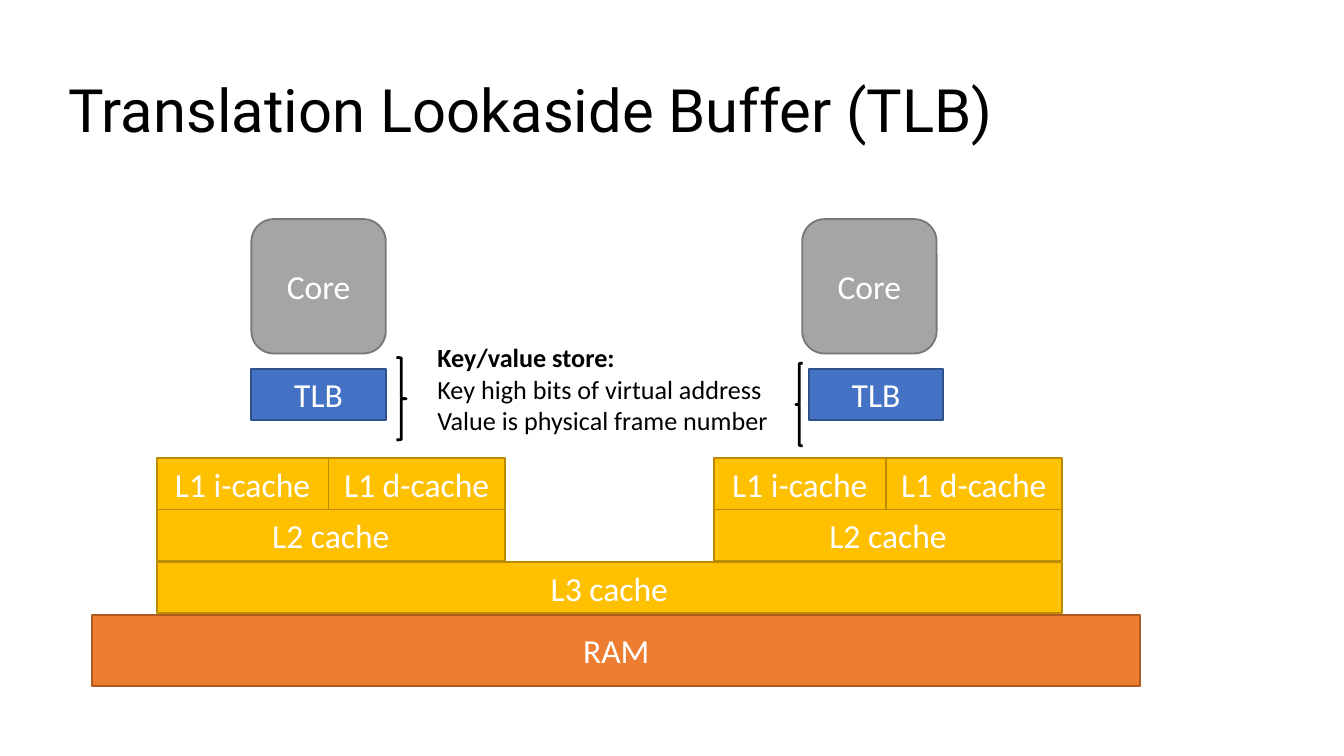
"""Build a slide on the translation lookaside buffer in a two-core memory hierarchy."""
from dataclasses import dataclass

from pptx import Presentation
from pptx.dml.color import RGBColor
from pptx.enum.shapes import MSO_SHAPE
from pptx.enum.text import MSO_ANCHOR, PP_ALIGN
from pptx.util import Pt

RECTANGLE = MSO_SHAPE.RECTANGLE
ROUNDED = MSO_SHAPE.ROUNDED_RECTANGLE
LEFT_BRACE = MSO_SHAPE.LEFT_BRACE
RIGHT_BRACE = MSO_SHAPE.RIGHT_BRACE
TOP = MSO_ANCHOR.TOP
MIDDLE = MSO_ANCHOR.MIDDLE
CENTER = PP_ALIGN.CENTER


@dataclass(frozen=True)
class Theme:
    """Fonts, type sizes and (fill, line) colour pairs."""
    title_font: str = "Roboto"
    body_font: str = "Calibri"
    title_size: int = 32
    block_size: int = 18
    note_size: int = 14
    ink: str = "000000"
    block_text: str = "FFFFFF"
    core: tuple = ("A5A5A5", "787878")
    tlb: tuple = ("4472C4", "2F528F")
    cache: tuple = ("FFC000", "BC8C00")
    ram: tuple = ("ED7D31", "AE5A21")


THEME = Theme()
CACHE_LEFT = 84
CACHE_TOP = 245.4
ROW_HEIGHT = 27.6
INSTRUCTION_WIDTH = 92
DATA_WIDTH = 94.5
CORE_WIDTH = 72
GROUP_STEP = 298.5


def add_run(paragraph, text, size, color, font=THEME.body_font, bold=False):
    """Append one formatted run to a paragraph."""
    run = paragraph.add_run()
    run.text = text
    run.font.name = font
    run.font.size = Pt(size)
    run.font.bold = bold
    run.font.color.rgb = RGBColor.from_string(color)


def add_text_frame(slide, left, top, width, height, anchor):
    """Add a wrapping text box and return its text frame."""
    box = slide.shapes.add_textbox(Pt(left), Pt(top), Pt(width), Pt(height))
    frame = box.text_frame
    frame.word_wrap = True
    frame.vertical_anchor = anchor
    return frame


def add_title(slide, text):
    """Add the slide title."""
    frame = add_text_frame(slide, 29.5, 21.6, 661.5, 78.3, MIDDLE)
    paragraph = frame.paragraphs[0]
    paragraph.line_spacing = 0.9
    add_run(paragraph, text, THEME.title_size, THEME.ink, THEME.title_font)


def add_block(slide, text, left, top, width, height, colors, kind=RECTANGLE):
    """Add a labelled hardware block."""
    shape = slide.shapes.add_shape(kind, Pt(left), Pt(top), Pt(width), Pt(height))
    fill, line = colors
    shape.shadow.inherit = False
    shape.fill.solid()
    shape.fill.fore_color.rgb = RGBColor.from_string(fill)
    shape.line.color.rgb = RGBColor.from_string(line)
    shape.line.width = Pt(1)
    frame = shape.text_frame
    frame.margin_left = frame.margin_right = 0
    frame.margin_top = frame.margin_bottom = 0
    frame.vertical_anchor = MIDDLE
    paragraph = frame.paragraphs[0]
    paragraph.alignment = CENTER
    add_run(paragraph, text, THEME.block_size, THEME.block_text)


def add_brace(slide, kind, left, top, width):
    """Add a brace that ties a buffer to the note."""
    shape = slide.shapes.add_shape(kind, Pt(left), Pt(top), Pt(width), Pt(44.2))
    shape.shadow.inherit = False
    shape.fill.background()
    shape.line.color.rgb = RGBColor.from_string(THEME.ink)
    shape.line.width = Pt(1.5)


def add_core_group(slide, left, core_left, tlb_left):
    """Add a core with its buffer and its private caches."""
    cache_width = INSTRUCTION_WIDTH + DATA_WIDTH
    add_block(slide, "Core", core_left, 117.4, CORE_WIDTH, 72, THEME.core, ROUNDED)
    add_block(slide, "TLB", tlb_left, 197.5, CORE_WIDTH, ROW_HEIGHT, THEME.tlb)
    add_block(slide, "L1 i-cache", left, CACHE_TOP,
              INSTRUCTION_WIDTH, ROW_HEIGHT, THEME.cache)
    add_block(slide, "L1 d-cache", left + INSTRUCTION_WIDTH, CACHE_TOP,
              DATA_WIDTH, ROW_HEIGHT, THEME.cache)
    add_block(slide, "L2 cache", left, CACHE_TOP + ROW_HEIGHT,
              cache_width, ROW_HEIGHT, THEME.cache)


def add_note(slide, heading, lines):
    """Add the note with a bold heading above plain lines."""
    frame = add_text_frame(slide, 227.2, 179.4, 274.3, 58.2, TOP)
    add_run(frame.paragraphs[0], heading, THEME.note_size, THEME.ink, bold=True)
    for line in lines:
        add_run(frame.add_paragraph(), line, THEME.note_size, THEME.ink)


def main():
    """Build and save the presentation."""
    presentation = Presentation()
    presentation.slide_width = Pt(720)
    presentation.slide_height = Pt(405)
    slide = presentation.slides.add_slide(presentation.slide_layouts[6])
    add_title(slide, "Translation Lookaside Buffer (TLB)")
    add_core_group(slide, CACHE_LEFT, 134.7, 134.7)
    add_core_group(slide, CACHE_LEFT + GROUP_STEP, 429.8, 433.4)
    shared_width = GROUP_STEP + INSTRUCTION_WIDTH + DATA_WIDTH
    add_block(slide, "L3 cache", CACHE_LEFT, 301, shared_width, ROW_HEIGHT, THEME.cache)
    add_block(slide, "RAM", 49.4, 329.5, 561.5, 38, THEME.ram)
    add_brace(slide, LEFT_BRACE, 426.4, 194.6, 3.6)
    add_brace(slide, RIGHT_BRACE, 212.4, 191.5, 5.2)
    add_note(slide, "Key/value store:",
             ["Key high bits of virtual address", "Value is physical frame number"])
    presentation.save("out.pptx")


if __name__ == "__main__":
    main()
